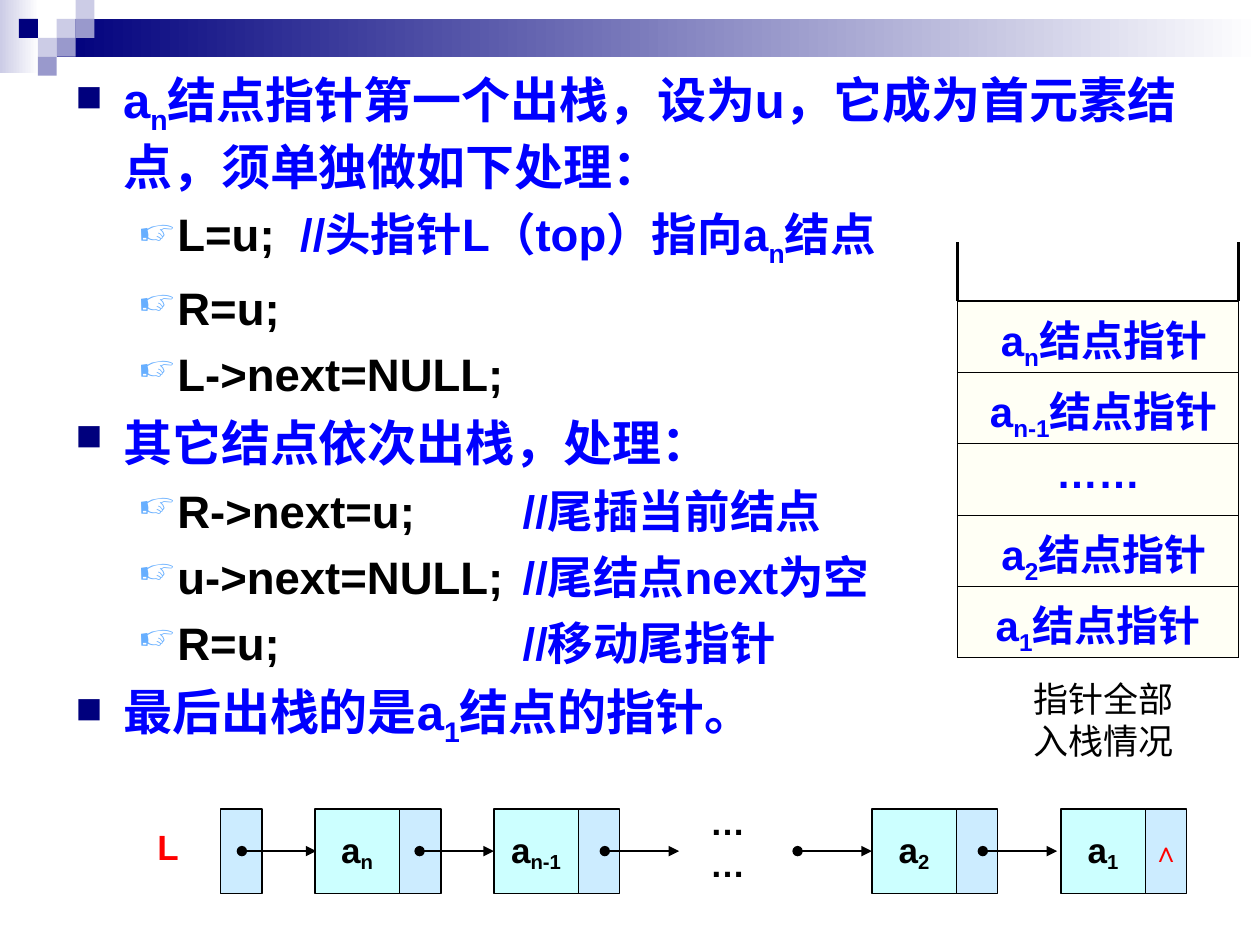
import pptx
import pptx.util
import pptx.dml.color
import pptx.enum.shapes
import pptx.enum.text
import pptx.oxml
import pptx.oxml.ns

Inches, Pt = pptx.util.Inches, pptx.util.Pt
RGBColor = pptx.dml.color.RGBColor
ALIGN, ANCHOR = pptx.enum.text.PP_ALIGN, pptx.enum.text.MSO_ANCHOR
RECTANGLE = pptx.enum.shapes.MSO_SHAPE.RECTANGLE

NAVY = RGBColor(0x00, 0x00, 0x7D)
LAVENDER = RGBColor(0xCC, 0xCC, 0xE6)
VIOLET = RGBColor(0x99, 0x99, 0xCC)
WHITE = RGBColor(0xFF, 0xFF, 0xFF)
BLACK = RGBColor(0x00, 0x00, 0x00)
BLUE = RGBColor(0x00, 0x00, 0xFF)
RED = RGBColor(0xFF, 0x00, 0x00)
HAND = RGBColor(0x67, 0xAF, 0xFF)
IVORY = RGBColor(0xFF, 0xFF, 0xF5)
CYAN = RGBColor(0xCC, 0xFF, 0xFF)
SKY = RGBColor(0xCC, 0xEC, 0xFF)

# Bullet paragraph formats by level
LEVELS = [
    {"size": 28, "left": 0.38, "hang": 0.38, "before": 7, "mark": "■", "tint": NAVY, "scale": 75},
    {"size": 26, "left": 0.81, "hang": 0.31, "before": 6.5, "mark": "☞", "tint": HAND, "scale": 80},
]
COMMENT_TAB = 3.55

# Each line: level, then runs of (text, colour, is subscript)
LINES = [
    (0, [("a", BLUE, False), ("n", BLUE, True),
         ("结点指针第一个出栈，设为u，它成为首元素结点，须单独做如下处理：", BLUE, False)]),
    (1, [("L=u;  ", BLACK, False), ("//头指针L（top）指向a", BLUE, False),
         ("n", BLUE, True), ("结点", BLUE, False)]),
    (1, [("R=u;", BLACK, False)]),
    (1, [("L->next=NULL;", BLACK, False)]),
    (0, [("其它结点依次出栈，处理：", BLUE, False)]),
    (1, [("R->next=u;\t", BLACK, False), ("//尾插当前结点", BLUE, False)]),
    (1, [("u->next=NULL;\t", BLACK, False), ("//尾结点next为空", BLUE, False)]),
    (1, [("R=u;\t", BLACK, False), ("//移动尾指针", BLUE, False)]),
    (0, [("最后出栈的是a", BLUE, False), ("1", BLUE, True), ("结点的指针。", BLUE, False)]),
]


def add_element(parent, tag, content="", **attributes):
    xml = f"<a:{tag} {pptx.oxml.ns.nsdecls('a')}>{content}</a:{tag}>"
    element = pptx.oxml.parse_xml(xml)
    for name, value in attributes.items():
        element.set(name, str(value))
    parent.append(element)


def add_runs(para, runs, size, bold=True, drop=-25):
    font_format = {"name": "Arial", "size": Pt(size), "bold": bold}
    for text, colour, is_subscript in runs:
        span = para.add_run()
        span.text = text
        for name, value in font_format.items():
            setattr(span.font, name, value)
        span.font.color.rgb = colour
        if is_subscript:
            span._r.get_or_add_rPr().set("baseline", str(drop * 1000))


def fill_frame(frame, runs, size, wrap=False, anchor=ANCHOR.MIDDLE, **run_format):
    for name, value in {"word_wrap": wrap, "vertical_anchor": anchor}.items():
        setattr(frame, name, value)
    para = frame.paragraphs[0]
    para.alignment = ALIGN.CENTER
    add_runs(para, runs, size, **run_format)


def add_box(page, left, top, width, height, colour, outlined=False):
    box = page.shapes.add_shape(RECTANGLE, Inches(left), Inches(top), Inches(width), Inches(height))
    box.shadow.inherit = False
    if isinstance(colour, tuple) and not isinstance(colour, RGBColor):
        box.fill.gradient()
        box.fill.gradient_angle = 0
        for stop, tint in zip(box.fill.gradient_stops, colour):
            stop.color.rgb = tint
    else:
        box.fill.solid()
        box.fill.fore_color.rgb = colour
    if outlined:
        box.line.color.rgb = BLACK
        box.line.width = Pt(0.75)
    else:
        box.line.fill.background()
    return box


def add_line(page, start, end, width, arrow=False):
    line = page.shapes.add_connector(
        pptx.enum.shapes.MSO_CONNECTOR.STRAIGHT, *(Inches(value) for value in start + end))
    line.line.color.rgb = BLACK
    line.line.width = Pt(width)
    if arrow:
        stroke = line.line._get_or_add_ln()
        add_element(stroke, "headEnd", type="oval")
        add_element(stroke, "tailEnd", type="triangle")
    add_element(line._element.spPr, "effectLst")


def add_label(page, left, top, width, height, runs, size, **text_format):
    label = page.shapes.add_textbox(Inches(left), Inches(top), Inches(width), Inches(height))
    fill_frame(label.text_frame, runs, size, **text_format)


def add_banner(page, left, top, width):
    # Fading bars
    add_box(page, left, top, 0.31, 0.58, (LAVENDER, WHITE))
    add_box(page, left + 0.45, top + 0.15, width - 0.45, 0.3, (NAVY, WHITE))
    # Mosaic of squares: column, row, colour
    side = 0.15
    for column, row, colour in [(3, 1, LAVENDER), (4, 0, LAVENDER), (4, 1, VIOLET), (2, 2, LAVENDER),
                                (1, 1, NAVY), (3, 2, VIOLET), (2, 3, VIOLET)]:
        add_box(page, left + column * side, top + row * side, side, side, colour)


def add_bullets(page, left, top, width, height):
    box = page.shapes.add_textbox(Inches(left), Inches(top), Inches(width), Inches(height))
    frame = box.text_frame
    frame.word_wrap = True
    for index, (level, runs) in enumerate(LINES):
        style = LEVELS[level]
        para = frame.add_paragraph() if index else frame.paragraphs[0]
        para.level = level
        properties = para._p.get_or_add_pPr()
        properties.set("marL", str(Inches(style["left"])))
        properties.set("indent", str(-Inches(style["hang"])))
        add_element(properties, "buClr", f'<a:srgbClr val="{style["tint"]}"/>')
        add_element(properties, "buSzPct", val=style["scale"] * 1000)
        add_element(properties, "buChar", char=style["mark"])
        if any("\t" in text for text, _, _ in runs):
            add_element(properties, "tabLst", f'<a:tab pos="{Inches(COMMENT_TAB)}" algn="l"/>')
        if index:
            para.space_before = Pt(style["before"])
        add_runs(para, runs, style["size"])


def add_stack(page, left, top, width, height):
    entries = [(" a", "n"), (" a", "n-1"), None, (" a", "2"), ("a", "1")]
    last = len(entries) - 1
    table = page.shapes.add_table(len(entries), 1, Inches(left), Inches(top),
                                  Inches(width), Inches(height)).table
    for index, entry in enumerate(entries):
        cell = table.cell(index, 0)
        # Heavy outer border, thin rules between rows
        borders = {"lnL": 1.08, "lnR": 1.08, "lnT": 0.45 if index else 1.08,
                   "lnB": 1.08 if index == last else 0.45}
        for tag, weight in borders.items():
            add_element(cell._tc.get_or_add_tcPr(), tag,
                        f'<a:solidFill><a:srgbClr val="{BLACK}"/></a:solidFill>', w=Pt(weight))
        cell.fill.solid()
        cell.fill.fore_color.rgb = IVORY
        runs = [("……", BLUE, False)]
        if entry:
            runs = [(entry[0], BLUE, False), (entry[1], BLUE, True), ("结点指针", BLUE, False)]
        para = cell.text_frame.paragraphs[0]
        para.alignment = ALIGN.CENTER
        add_runs(para, runs, 24)
    # Open top of the stack
    for side in (left, left + width):
        add_line(page, (side, top), (side, top - 0.47), 2)
    add_label(page, left + 0.48, top + 2.94, 1.35, 0.77, [("指针全部入栈情况", BLACK, False)], 20,
              wrap=True, anchor=ANCHOR.TOP, bold=False)


def add_linked_list(page, left, top):
    data, link, arrow = 0.67, 0.33, 0.59
    add_label(page, left, top + 0.1, 0.67, 0.39, [("L", RED, False)], 20)
    add_box(page, left + 0.75, top, link, data, SKY, outlined=True)
    # Nodes: data cell and link cell
    for offset, subscript in [(1.5, "n"), (2.92, "n-1"), (5.92, "2"), (7.42, "1")]:
        node = add_box(page, left + offset, top, data, data, CYAN, outlined=True)
        fill_frame(node.text_frame, [("a", BLACK, False), (subscript, BLACK, True)], 20, drop=-16)
        pointer = add_box(page, left + offset + data, top, link, data, SKY, outlined=True)
    fill_frame(pointer.text_frame, [("∧", RED, False)], 16)
    add_label(page, left + 4.42, top - 0.09, 0.71, 0.71, [("……", BLACK, False)], 20)
    # Links between nodes
    middle = top + data / 2
    for offset in (0.92, 2.33, 3.8, 5.33, 6.8):
        add_line(page, (left + offset, middle), (left + offset + arrow, middle), 0.75, arrow=True)


def main():
    deck = pptx.Presentation()
    deck.slide_width, deck.slide_height = Inches(10), Inches(7.5)
    page = deck.slides.add_slide(deck.slide_layouts[6])
    add_banner(page, 0, 0, 10)
    add_bullets(page, 0.5, 0.5, 9, 6.25)
    add_stack(page, 7.6, 2.39, 2.23, 2.83)
    add_linked_list(page, 1, 6.42)
    deck.save("out.pptx")


if __name__ == "__main__":
    main()
